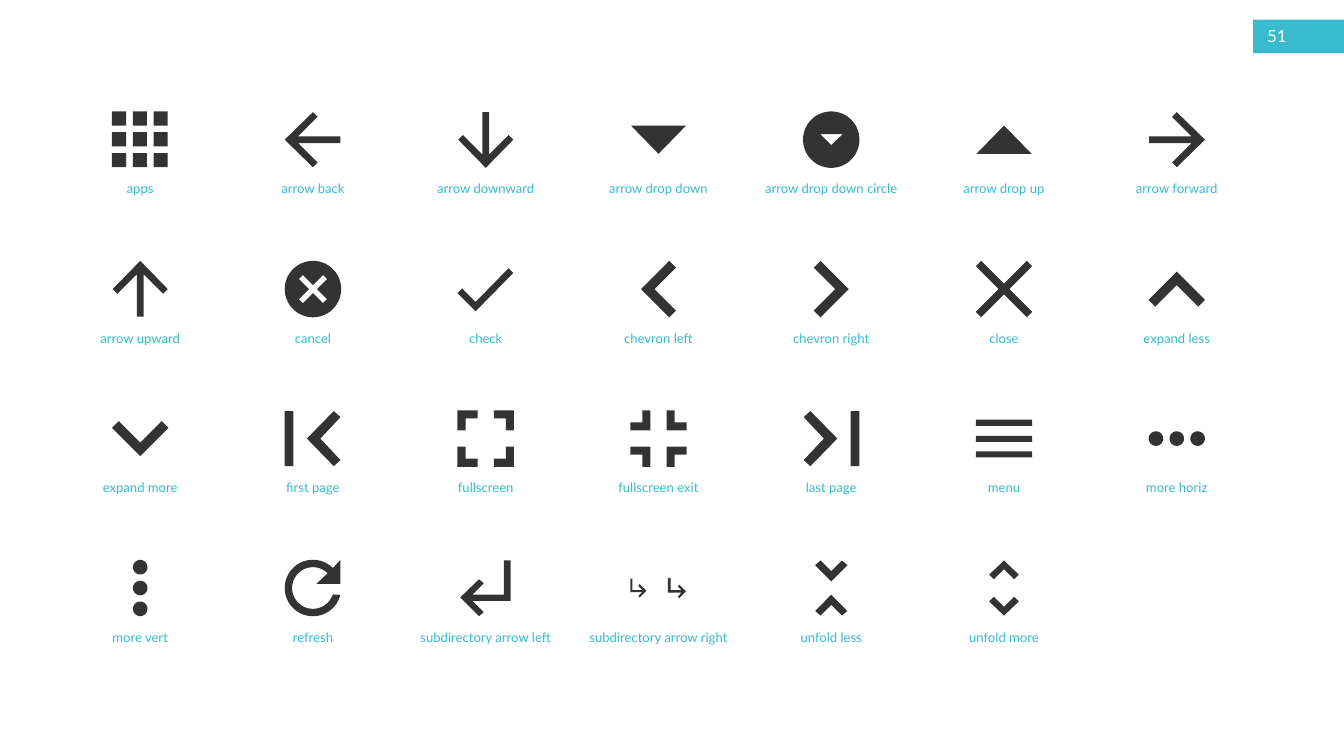
from math import cos, radians, sin

from pptx import Presentation
from pptx.dml.color import RGBColor
from pptx.enum.shapes import MSO_SHAPE
from pptx.enum.text import MSO_ANCHOR, MSO_AUTO_SIZE, PP_ALIGN
from pptx.util import Cm, Pt

RECTANGLE = MSO_SHAPE.RECTANGLE
MIDDLE = MSO_ANCHOR.MIDDLE
GROW = MSO_AUTO_SIZE.SHAPE_TO_FIT_TEXT
CENTER = PP_ALIGN.CENTER

TEAL = RGBColor(0x37, 0xBB, 0xCD)
DARK = RGBColor(0x33, 0x33, 0x33)
WHITE = RGBColor(0xFF, 0xFF, 0xFF)

COLUMNS = 7
FIRST_X, FIRST_Y = Cm(5.3), Cm(5.28)
STEP_X, STEP_Y = Cm(6.53), Cm(5.65)
LABEL_WIDTH, LABEL_HEIGHT, LABEL_DROP = Cm(7.06), Cm(0.86), Cm(1.43)
UNIT = Cm(2.54) / 100


def arc(radius, start=0, end=360, center=(0, 0)):
    """Return points along a circle, with angles in degrees clockwise from the right."""
    steps = 60
    angles = [radians(start + (end - start) * i / steps) for i in range(steps + 1)]
    return [(center[0] + radius * cos(a), center[1] + radius * sin(a)) for a in angles]


def turn(outlines, quarters):
    """Rotate outlines clockwise about the icon centre by quarter turns."""
    for _ in range(quarters):
        outlines = [[(-y, x) for x, y in outline] for outline in outlines]
    return outlines


# Icons are lists of outlines, in hundredths of an inch from the cell centre
apps = [[(x, y), (x + 21, y), (x + 21, y + 21), (x, y + 21)]
        for x in (-42, -11, 20) for y in (-42, -11, 20)]
arrow_forward = [[(0, -41), (-7, -34), (22, -5), (-41, -5), (-41, 5),
                  (22, 5), (-7, 34), (0, 41), (42, 0)]]
drop_down = [[(-41, -21), (0, 21), (41, -21)]]
drop_circle = [arc(42), [(0, 8), (-16, -8), (17, -8)]]
close, small_cross = [
    [[(tip, -side), (side, -tip), (0, side - tip), (-side, -tip),
      (-tip, -side), (side - tip, 0), (-tip, side), (-side, tip),
      (0, tip - side), (side, tip), (tip, side), (tip - side, 0)]]
    for tip, side in ((42, 34), (21, 15))]
cancel = [arc(42)] + small_cross
check = [[(-15, 19), (-35, -1), (-42, 6), (-15, 33), (41, -24), (34, -31)]]
expand_less = [[(0, -26), (-42, 16), (-32, 26), (0, -6), (32, 26), (42, 16)]]
first_page = [[(41, 32), (11, 0), (41, -32), (31, -41), (-9, 0), (31, 41)],
              [(-42, -41), (-29, -41), (-29, 41), (-42, 41)]]
outer_corner = [[(-42, -12), (-30, -12), (-30, -30), (-12, -30), (-12, -42), (-42, -42)]]
inner_corner = [[(-24, -42), (-12, -42), (-12, -12), (-42, -12), (-42, -24), (-24, -24)]]
fullscreen, fullscreen_exit = [
    [outline for quarters in range(4) for outline in turn(corner, quarters)]
    for corner in (outer_corner, inner_corner)]
menu = [[(-42, y), (42, y), (42, y + 9), (-42, y + 9)] for y in (-28, -4, 19)]
more_horiz = [arc(10.8, center=(x, 0)) for x in (-31, 0, 31)]
refresh = [arc(42, 315, 14) + arc(31, 18, 315) + [(5, -6), (41, -6), (41, -42)]]
subdirectory_left = [[(-10, -13), (-3, -7), (-20, 10), (27, 10), (27, -41), (37, -41),
                      (37, 19), (-20, 19), (-3, 36), (-10, 42), (-38, 14)]]
subdirectory_right = [
    [(-18, 4), (-28, 14), (-30, 12), (-24, 6), (-42, 6), (-42, -14),
     (-39, -14), (-39, 3), (-24, 3), (-30, -3), (-28, -6)],
    [(41, 5), (31, 15), (29, 13), (34, 7), (14, 7), (14, -15),
     (18, -15), (18, 3), (34, 3), (29, -2), (31, -5)]]
fold_up = [[(-24, 34), (-16, 41), (0, 25), (16, 41), (24, 34), (0, 10)]]
unfold_up = [[(0, -41), (22, -20), (15, -13), (0, -28), (-15, -13), (-22, -20)]]

ICONS = [
    ("apps", apps),
    ("arrow back", turn(arrow_forward, 2)),
    ("arrow downward", turn(arrow_forward, 1)),
    ("arrow drop down", drop_down),
    ("arrow drop down circle", drop_circle),
    ("arrow drop up", turn(drop_down, 2)),
    ("arrow forward", arrow_forward),
    ("arrow upward", turn(arrow_forward, 3)),
    ("cancel", cancel),
    ("check", check),
    ("chevron left", turn(expand_less, 3)),
    ("chevron right", turn(expand_less, 1)),
    ("close", close),
    ("expand less", expand_less),
    ("expand more", turn(expand_less, 2)),
    ("first page", first_page),
    ("fullscreen", fullscreen),
    ("fullscreen exit", fullscreen_exit),
    ("last page", turn(first_page, 2)),
    ("menu", menu),
    ("more horiz", more_horiz),
    ("more vert", turn(more_horiz, 1)),
    ("refresh", refresh),
    ("subdirectory arrow left", subdirectory_left),
    ("subdirectory arrow right", subdirectory_right),
    ("unfold less", turn(fold_up, 2) + fold_up),
    ("unfold more", unfold_up + turn(unfold_up, 2)),
]

deck = Presentation()
deck.slide_width, deck.slide_height = Cm(50.8), Cm(28.58)
page = deck.slides.add_slide(deck.slide_layouts[6])

number_band = page.shapes.add_shape(RECTANGLE, Cm(47.37), Cm(0.74), Cm(3.43), Cm(1.27))
filled = [(number_band, TEAL)]
number_box = page.shapes.add_textbox(Cm(47.65), Cm(0.71), Cm(1.7), Cm(1.27))
number_box.text_frame.vertical_anchor = MIDDLE
texts = [(number_box, "51", None, {"name": "Lato", "size": Pt(18)}, WHITE)]

for index, (name, outlines) in enumerate(ICONS):
    row, column = divmod(index, COLUMNS)
    center_x = FIRST_X + column * STEP_X
    center_y = FIRST_Y + row * STEP_Y

    label = page.shapes.add_textbox(center_x - LABEL_WIDTH // 2, center_y + LABEL_DROP,
                                    LABEL_WIDTH, LABEL_HEIGHT)
    label.text_frame.auto_size = GROW
    texts.append((label, name, CENTER, {"name": "Lato", "size": Pt(14)}, TEAL))

    placed = [[(round(center_x + x * UNIT), round(center_y + y * UNIT)) for x, y in outline]
              for outline in outlines]
    builder = page.shapes.build_freeform(*placed[0][0])
    for outline in placed:
        if outline is not placed[0]:
            builder.move_to(*outline[0])
        builder.add_line_segments(outline[1:], close=True)
    filled.append((builder.convert_to_shape(), DARK))

for shape, color in filled:
    shape.shadow.inherit = False
    shape.fill.solid()
    shape.fill.fore_color.rgb = color
    shape.line.fill.background()

for box, text, alignment, font_format, color in texts:
    box.text_frame.word_wrap = True
    para = box.text_frame.paragraphs[0]
    para.alignment = alignment
    span = para.add_run()
    span.text = text
    for attribute, value in font_format.items():
        setattr(span.font, attribute, value)
    span.font.color.rgb = color

deck.save("out.pptx")
